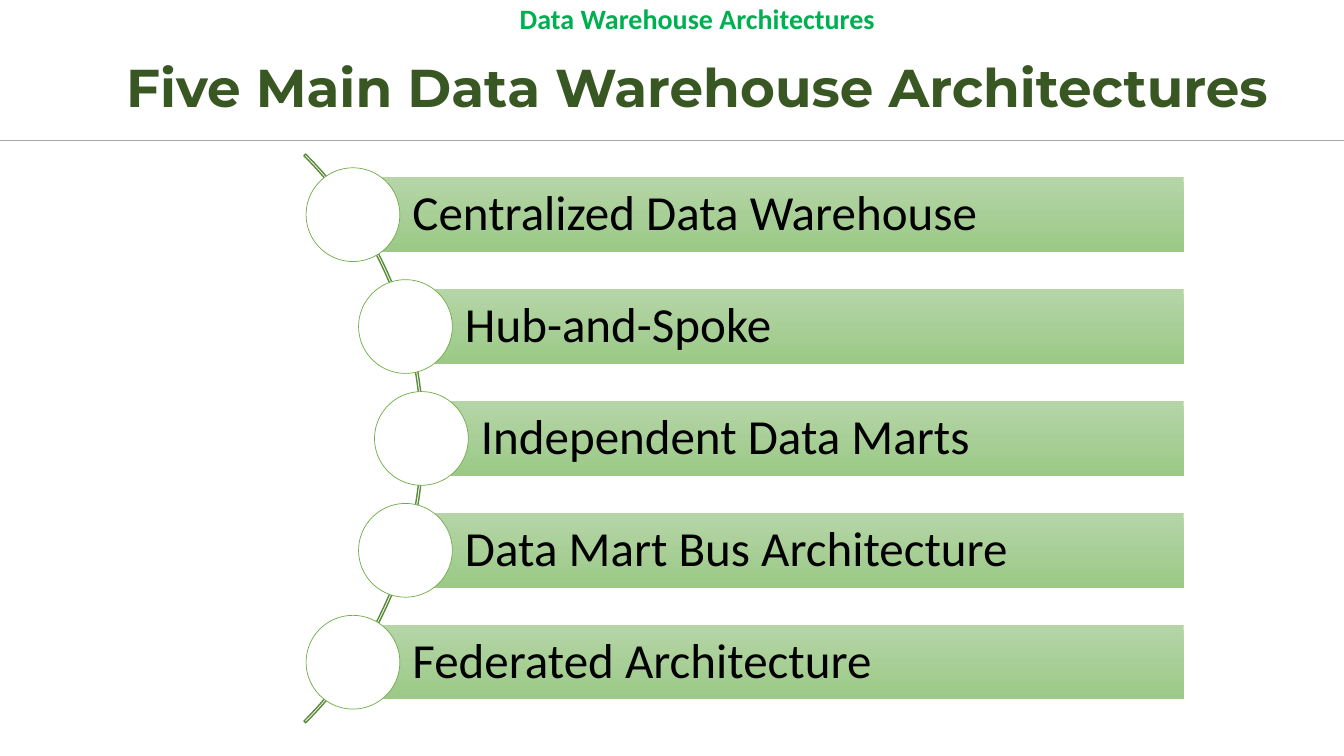
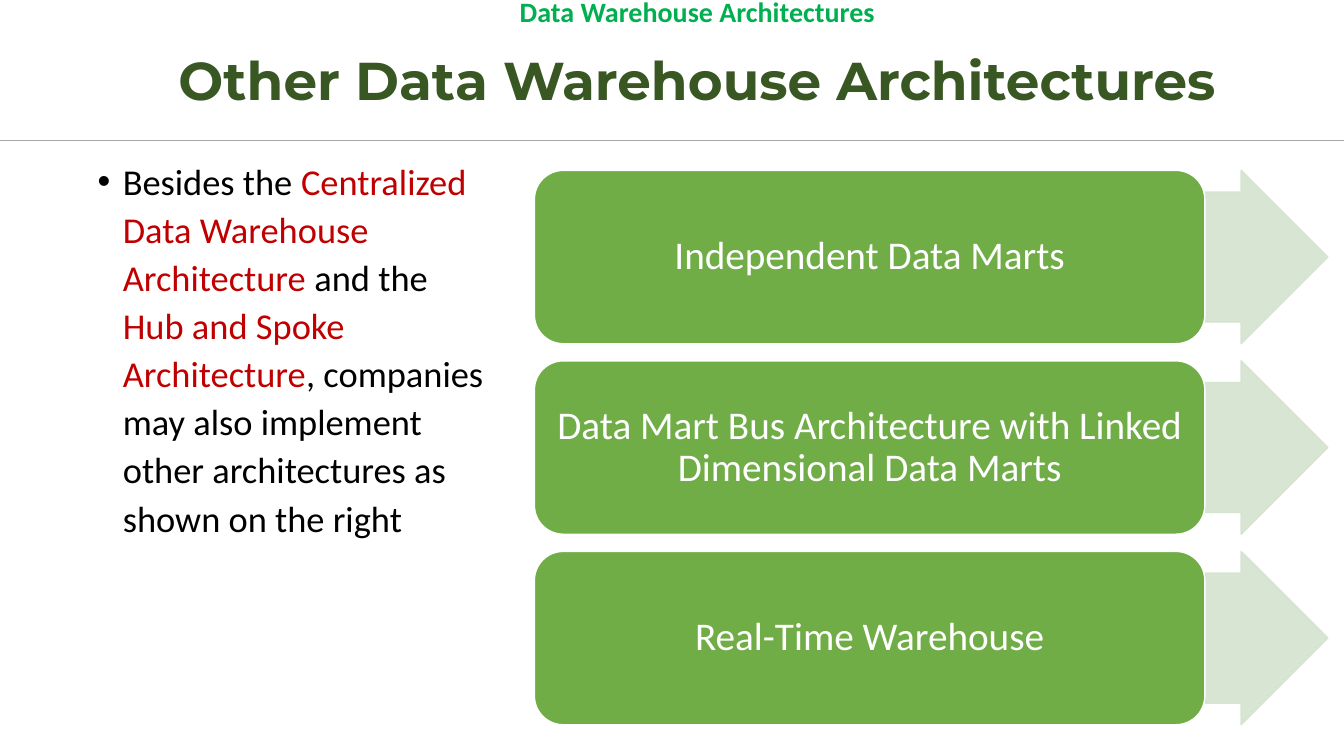
import math
from dataclasses import dataclass

from pptx import Presentation
from pptx.dml.color import RGBColor
from pptx.enum import shapes, text
from pptx.oxml import ns, xmlchemy
from pptx.util import Inches, Pt


@dataclass(frozen=True)
class Theme:
    heading_font: str = "Montserrat"
    body_font: str = "Calibri"
    bullet_font: str = "Arial"
    title: str = "385723"
    topic: str = "00B050"
    rule: str = "A6A6A6"
    arc: str = "5A8B39"
    green: str = "70AD47"
    bar_top: str = "B5D5A7"
    bar_bottom: str = "9CC987"
    arrow: str = "D5E3CF"
    accent: str = "C00000"
    black: str = "000000"
    white: str = "FFFFFF"
    title_size: int = 38
    topic_size: int = 20
    bar_size: int = 35
    body_size: int = 26
    box_size: int = 28


@dataclass(frozen=True)
class Box:
    left: float
    top: float
    width: float
    height: float

    def lengths(self):
        return [Inches(n) for n in (self.left, self.top, self.width, self.height)]


THEME = Theme()
SLIDE_WIDTH, SLIDE_HEIGHT = 13.33, 7.5
SHAPE = shapes.MSO_SHAPE
CENTER, LEFT = text.PP_ALIGN.CENTER, text.PP_ALIGN.LEFT
TOP, MIDDLE = text.MSO_ANCHOR.TOP, text.MSO_ANCHOR.MIDDLE


def set_values(target, values):
    for name, value in values.items():
        setattr(target, name, value)


def write_text(shape, runs, size, font=THEME.body_font, bold=False,
               align=CENTER, anchor=MIDDLE, spacing=0.9, before=0,
               insets=(0.1, 0.05, 0.1, 0.05)):
    """Write (wording, colour) runs as the one paragraph of a shape."""
    frame = shape.text_frame
    margins = ("margin_left", "margin_top", "margin_right", "margin_bottom")
    set_values(frame, {"word_wrap": True, "auto_size": text.MSO_AUTO_SIZE.NONE,
                       "vertical_anchor": anchor})
    set_values(frame, dict(zip(margins, map(Inches, insets))))
    paragraph = frame.paragraphs[0]
    set_values(paragraph, {"alignment": align, "line_spacing": spacing,
                           "space_before": Pt(before)})
    for wording, colour in runs:
        run = paragraph.add_run()
        run.text = wording
        set_values(run.font, {"size": Pt(size), "name": font, "bold": bold})
        run.font.color.rgb = RGBColor.from_string(colour)
    return paragraph


def add_shape(slide, kind, box, fill=None, line=None, line_width=1):
    shape = slide.shapes.add_shape(kind, *box.lengths())
    shape.shadow.inherit = False
    if fill:
        shape.fill.solid()
        shape.fill.fore_color.rgb = RGBColor.from_string(fill)
    else:
        shape.fill.background()
    if line:
        shape.line.color.rgb = RGBColor.from_string(line)
        shape.line.width = Pt(line_width)
    else:
        shape.line.fill.background()
    return shape


def set_opacity(shape, percent):
    """Apply one opacity to the fill and the outline of a shape."""
    for colour in shape.element.spPr.iter(ns.qn("a:srgbClr")):
        alpha = xmlchemy.OxmlElement("a:alpha")
        alpha.set("val", str(percent * 1000))
        colour.append(alpha)


def add_bullet(paragraph, indent):
    properties = paragraph._p.get_or_add_pPr()
    properties.set("marL", str(Inches(indent)))
    properties.set("indent", str(-Inches(indent)))
    for tag, name, value in (("a:buFont", "typeface", THEME.bullet_font),
                             ("a:buChar", "char", "•")):
        element = xmlchemy.OxmlElement(tag)
        element.set(name, value)
        properties.append(element)


def add_headed_slide(presentation, title, topic, top):
    """Add a slide with its topic line, title and rule; top shifts the text."""
    slide = presentation.slides.add_slide(presentation.slide_layouts[5])
    rule_y = Inches(1.39)
    rule = slide.shapes.add_connector(shapes.MSO_CONNECTOR.STRAIGHT, 0, rule_y,
                                      Inches(SLIDE_WIDTH), rule_y)
    rule.line.color.rgb = RGBColor.from_string(THEME.rule)
    rule.line.width = Pt(0.5)
    rule.element.spPr.append(xmlchemy.OxmlElement("a:effectLst"))

    title_box = Box(0.87, top + 0.41, 12.09, 0.97)
    names = ("left", "top", "width", "height")
    set_values(slide.shapes.title, dict(zip(names, title_box.lengths())))
    write_text(slide.shapes.title, [(title, THEME.title)], THEME.title_size,
               font=THEME.heading_font, bold=True)

    topic_box = Box(2.62, top, 8.59, 0.41)
    write_text(slide.shapes.add_textbox(*topic_box.lengths()),
               [(topic, THEME.topic)], THEME.topic_size, bold=True,
               anchor=TOP, before=10)
    return slide


def add_arc_list(slide, box, labels):
    """Hang one bar per label on an arc that bulges into the box."""
    radius, bar_radius = 3.99, 3.97
    pitch, bar_height, diameter = 1.11, 0.74, 0.93
    center_x = box.left - 2.82
    center_y = box.top + box.height / 2
    arc = add_shape(slide, SHAPE.BLOCK_ARC,
                    Box(center_x - radius, center_y - radius, 2 * radius, 2 * radius),
                    line=THEME.arc)
    for index, value in enumerate((189, 27, 0.003)):
        arc.adjustments[index] = value

    for row, label in enumerate(labels):
        offset = (row - (len(labels) - 1) / 2) * pitch
        x = center_x + math.sqrt(bar_radius ** 2 - offset ** 2)
        y = center_y + offset
        bar = add_shape(slide, SHAPE.RECTANGLE,
                        Box(x, y - bar_height / 2, box.left + box.width - x, bar_height))
        bar.fill.gradient()
        bar.fill.gradient_angle = 270
        for stop, colour in zip(bar.fill.gradient_stops,
                                (THEME.bar_top, THEME.bar_bottom)):
            stop.color.rgb = RGBColor.from_string(colour)
        write_text(bar, [(label, THEME.black)], THEME.bar_size, align=LEFT,
                   insets=(0.59, 0.1, 0.1, 0.1))
        add_shape(slide, SHAPE.OVAL,
                  Box(x - diameter / 2, y - diameter / 2, diameter, diameter),
                  THEME.white, THEME.green, 0.5)


def add_bullet_text(slide, box, runs):
    paragraph = write_text(slide.shapes.add_textbox(*box.lengths()), runs,
                           THEME.body_size, align=LEFT, anchor=TOP,
                           spacing=1.1, before=10)
    add_bullet(paragraph, 0.25)


def add_arrow_boxes(slide, box, labels):
    """Stack rounded boxes, each over an arrow that points out to the right."""
    gap, label_width, arrow_width = 0.17, 6.65, 3.39
    height = (box.height - gap * (len(labels) - 1)) / len(labels)
    for row, label in enumerate(labels):
        top = box.top + row * (height + gap)
        arrow = add_shape(slide, SHAPE.RIGHT_ARROW,
                          Box(box.left + box.width - arrow_width, top, arrow_width, height),
                          THEME.arrow, THEME.arrow)
        arrow.adjustments[0] = 0.75
        set_opacity(arrow, 90)
        panel = add_shape(slide, SHAPE.ROUNDED_RECTANGLE,
                          Box(box.left, top, label_width, height),
                          THEME.green, THEME.white)
        write_text(panel, [(label, THEME.white)], THEME.box_size,
                   insets=(0.12, 0.06, 0.12, 0.06))


def main():
    presentation = Presentation()
    set_values(presentation, {"slide_width": Inches(SLIDE_WIDTH),
                              "slide_height": Inches(SLIDE_HEIGHT)})
    topic = "Data Warehouse Architectures"

    slide = add_headed_slide(presentation, "Five Main Data Warehouse Architectures",
                             topic, 0)
    add_arc_list(slide, Box(3.03, 1.53, 8.71, 5.64), [
        "Centralized Data Warehouse",
        "Hub-and-Spoke",
        "Independent Data Marts",
        "Data Mart Bus Architecture",
        "Federated Architecture",
    ])

    slide = add_headed_slide(presentation, "Other Data Warehouse Architectures",
                             topic, -0.07)
    add_bullet_text(slide, Box(0.87, 1.49, 4.13, 4.83), [
        ("Besides the ", THEME.black),
        ("Centralized Data Warehouse Architecture", THEME.accent),
        (" and the ", THEME.black),
        ("Hub and Spoke Architecture", THEME.accent),
        (", companies may also implement other architectures as shown on the right",
         THEME.black),
    ])
    add_arrow_boxes(slide, Box(5.3, 1.69, 7.87, 5.5), [
        "Independent Data Marts",
        "Data Mart Bus Architecture with Linked Dimensional Data Marts",
        "Real-Time Warehouse",
    ])

    presentation.save("out.pptx")


if __name__ == "__main__":
    main()
